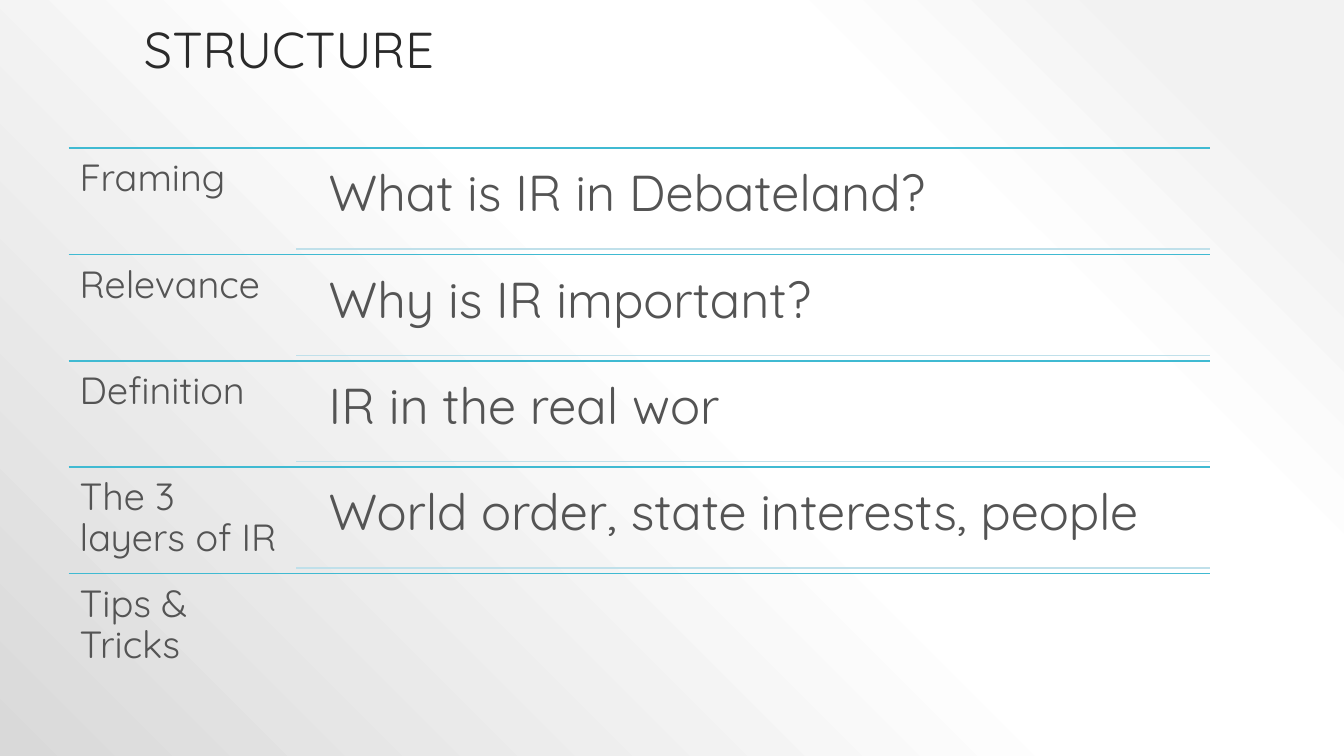
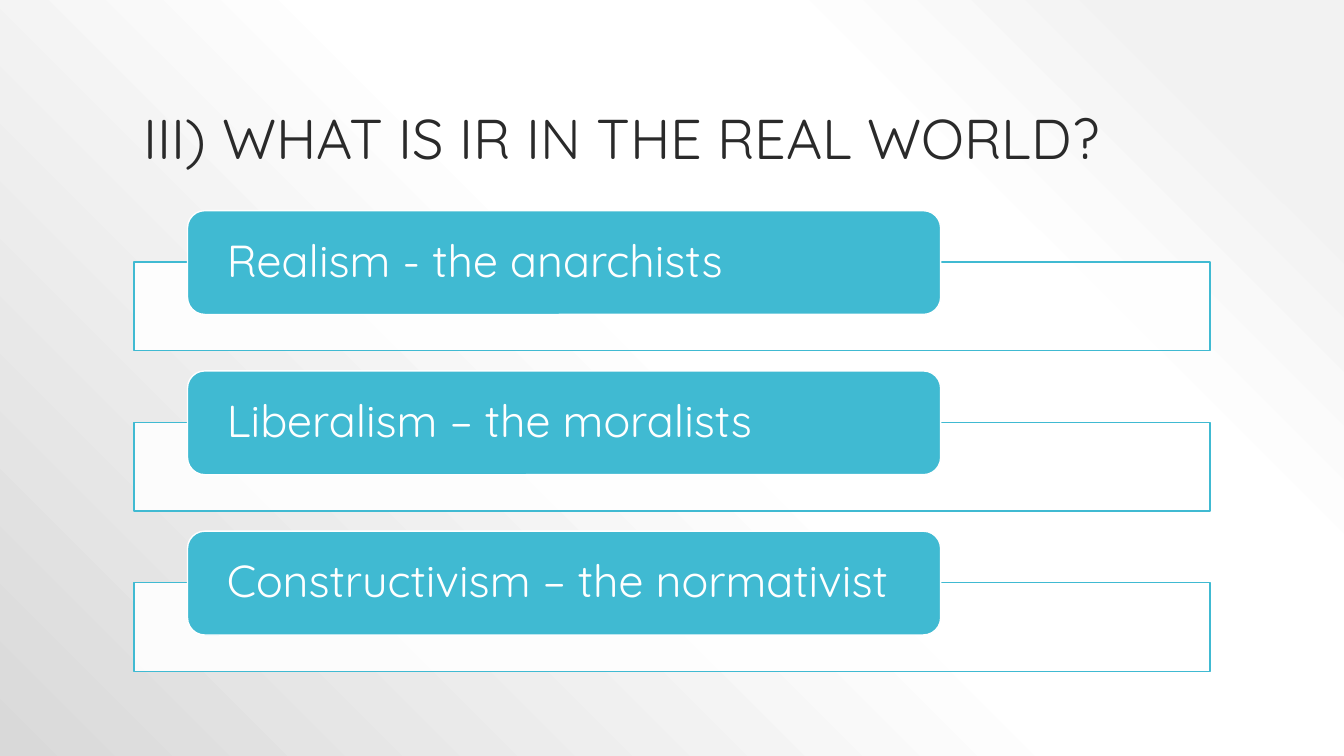
import pptx
import pptx.util
import pptx.oxml
import pptx.oxml.ns
import pptx.dml.color
import pptx.enum.shapes
import pptx.enum.text
import lxml.etree

Inches = pptx.util.Inches
Pt = pptx.util.Pt
RGB = pptx.dml.color.RGBColor.from_string
SHAPE = pptx.enum.shapes.MSO_SHAPE
ANCHOR = pptx.enum.text.MSO_ANCHOR
qn = pptx.oxml.ns.qn

HUES = {"title": "2A2A2A", "text": "545454", "teal": "40BAD2", "pale": "C0E0EA", "white": "FFFFFF"}
STOPS = [(10, "F2F2F2"), (28, "FFFFFF"), (48, "FFFFFF"), (100, "D9D9D9")]


def write(shape, text, size, hue, anchor, pad):
    frame = shape.text_frame
    frame.word_wrap = True
    frame.vertical_anchor = anchor
    frame.margin_left = frame.margin_right = Inches(pad[0])
    frame.margin_top = frame.margin_bottom = Inches(pad[1])
    para = frame.paragraphs[0]
    para.text = text
    para.alignment = pptx.enum.text.PP_ALIGN.LEFT
    para.line_spacing = 0.9
    para.font.name = "Quicksand"
    para.font.size = Pt(size)
    para.font.color.rgb = RGB(HUES[hue])


def rule(slide, left, top, hue):
    line = slide.shapes.add_connector(
        pptx.enum.shapes.MSO_CONNECTOR.STRAIGHT, Inches(left), Inches(top), Inches(12), Inches(top))
    line.line.color.rgb = RGB(HUES[hue])
    line.line.width = Pt(1)
    lxml.etree.SubElement(line._element.spPr, qn("a:effectLst"))


prs = pptx.Presentation()
prs.slide_width = Inches(13.33)
prs.slide_height = Inches(7.5)

master = prs.slide_master
master.background.fill.gradient()
grad = next(master._element.iter(qn("a:bgPr"), qn("p:bgPr"))).find(qn("a:gradFill"))
stops = "".join(
    f'<a:gs pos="{pos * 1000}"><a:srgbClr val="{hue}"/></a:gs>' for pos, hue in STOPS)
grad.getparent().replace(grad, pptx.oxml.parse_xml(
    f'<a:gradFill {pptx.oxml.ns.nsdecls("a")} rotWithShape="1"><a:gsLst>{stops}</a:gsLst>'
    '<a:path path="circle"><a:fillToRect l="100000" t="0" r="0" b="100000"/></a:path></a:gradFill>'))

slides = []
for title, size, height in [("STRUCTURE", 36, 0.54), ("III) WHAT IS IR IN THE REAL WORLD?", 40, 1.45)]:
    slide = prs.slides.add_slide(prs.slide_layouts[6])
    box = slide.shapes.add_textbox(Inches(1.33), Inches(0.3), Inches(10.67), Inches(height))
    write(box, title, size, "title", ANCHOR.BOTTOM, (0.1, 0.05))
    slides.append(slide)
plan, views = slides

rows = [
    ("Framing", "What is IR in Debateland?"),
    ("Relevance", "Why is IR important?"),
    ("Definition", "IR in the real wor"),
    ("The 3 layers of IR", "World order, state interests, people"),
    ("Tips & Tricks", None),
]
step = (5.69 - 1.47) / (len(rows) - 1)
for i, (label, topic) in enumerate(rows):
    top = 1.47 + i * step
    rule(plan, 0.68, top, "teal")
    box = plan.shapes.add_textbox(Inches(0.68), Inches(top), Inches(2.26), Inches(step))
    write(box, label, 27, "text", ANCHOR.TOP, (0.11, 0.11))
    if topic:
        box = plan.shapes.add_textbox(Inches(3.11), Inches(top + 0.05), Inches(8.88), Inches(0.96))
        write(box, topic, 36, "text", ANCHOR.TOP, (0.15, 0.15))
        rule(plan, 2.94, top + 1, "pale")

schools = ["Realism - the anarchists", "Liberalism – the moralists", "Constructivism – the normativist"]
for i, school in enumerate(schools):
    top = 2.09 + i * 1.59
    frame = views.shapes.add_shape(
        SHAPE.RECTANGLE, Inches(1.33), Inches(top + 0.51), Inches(10.67), Inches(0.88))
    card = views.shapes.add_shape(
        SHAPE.ROUNDED_RECTANGLE, Inches(1.86), Inches(top), Inches(7.47), Inches(1.03))
    for shape, fill, edge in [(frame, "white", "teal"), (card, "teal", "white")]:
        shape.shadow.inherit = False
        shape.fill.solid()
        shape.fill.fore_color.rgb = RGB(HUES[fill])
        shape.line.color.rgb = RGB(HUES[edge])
        shape.line.width = Pt(1)
    tint = frame._element.spPr.find(qn("a:solidFill"))[0]
    lxml.etree.SubElement(tint, qn("a:alpha"), val="90000")
    write(card, school, 32, "white", ANCHOR.MIDDLE, (0.34, 0))

prs.save("out.pptx")
